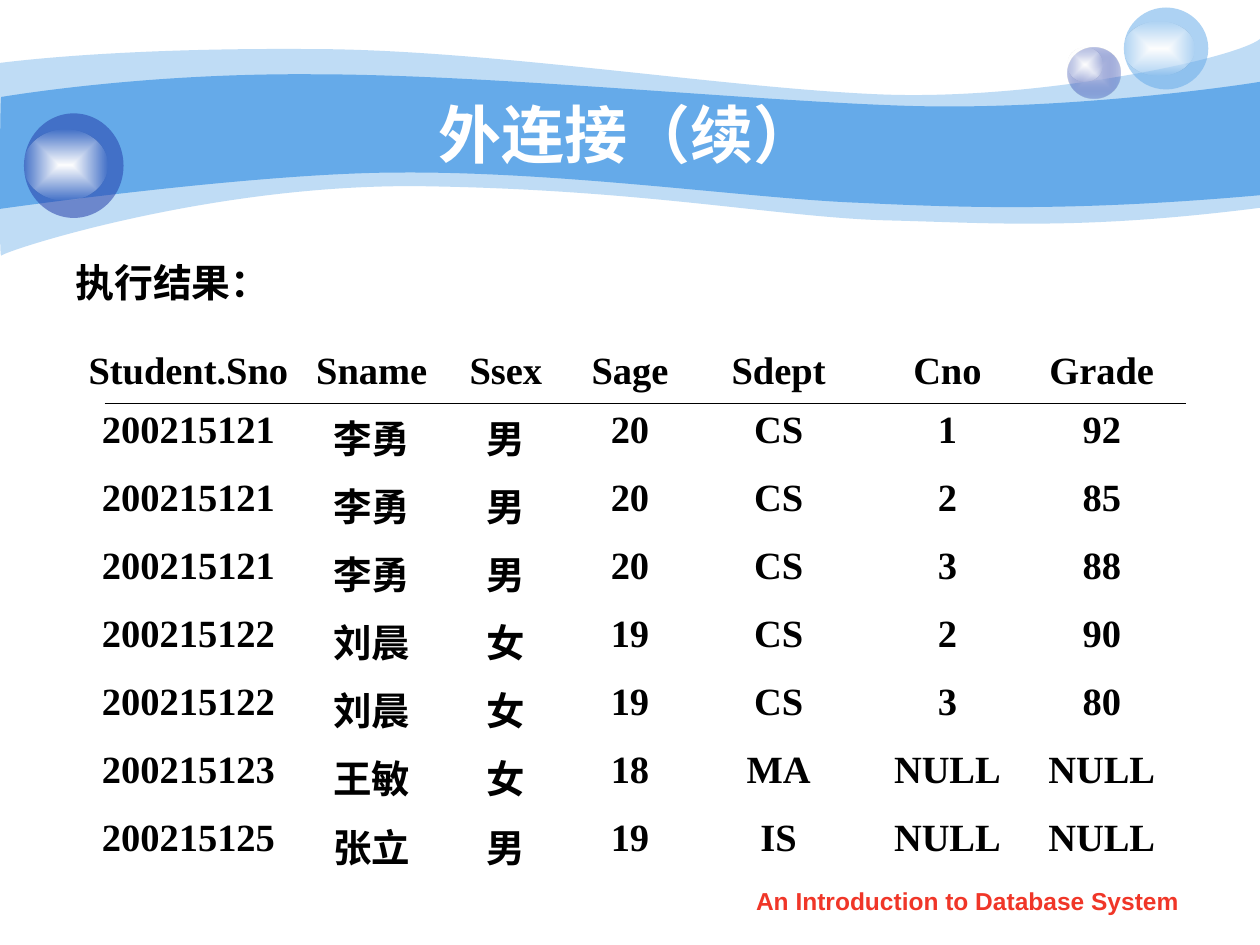
from pptx import Presentation
from pptx.dml.color import RGBColor
from pptx.enum.shapes import MSO_CONNECTOR, MSO_SHAPE
from pptx.enum.text import MSO_ANCHOR, PP_ALIGN
from pptx.oxml import parse_xml
from pptx.oxml.ns import nsdecls, qn
from pptx.oxml.xmlchemy import OxmlElement
from pptx.util import Inches, Pt

OVAL = MSO_SHAPE.OVAL
STRAIGHT = MSO_CONNECTOR.STRAIGHT
MIDDLE = MSO_ANCHOR.MIDDLE
CENTER, JUSTIFY = PP_ALIGN.CENTER, PP_ALIGN.JUSTIFY

SKY, NAVY = "65AAE9", "233DA9"
GLOSS = [("FFFFFF", 100), ("FFFFFF", 0)]
NO_TABLE_STYLE = "{2D5ABB26-0587-4C30-8999-92F81FD0307C}"


def paint(shape, colors):
    """Fill with one (hex, opacity %) pair, or fade from the first at the centre to the second."""
    shape.shadow.inherit = False
    shape.line.fill.background()
    tags = [f'<a:srgbClr val="{value}"><a:alpha val="{opacity * 1000}"/></a:srgbClr>'
            for value, opacity in colors]
    if len(tags) == 1:
        fill = f'<a:solidFill {nsdecls("a")}>{tags[0]}</a:solidFill>'
    else:
        fill = (f'<a:gradFill {nsdecls("a")} rotWithShape="1"><a:gsLst>'
                f'<a:gs pos="0">{tags[0]}</a:gs><a:gs pos="100000">{tags[1]}</a:gs></a:gsLst>'
                '<a:path path="rect"><a:fillToRect l="50000" t="50000" r="50000" b="50000"/>'
                '</a:path></a:gradFill>')
    shape.fill.solid()
    properties = shape.element.spPr
    properties.replace(properties.find(qn("a:solidFill")), parse_xml(fill))


def write(frame, text, size, color, font="Arial", align=CENTER):
    frame.text = text
    paragraph = frame.paragraphs[0]
    paragraph.alignment = align
    paragraph.font.name = font
    paragraph.font.size = Pt(size)
    paragraph.font.bold = True
    paragraph.font.color.rgb = RGBColor.from_string(color)


prs = Presentation()
prs.slide_width, prs.slide_height = Inches(10), Inches(7.5)
slide = prs.slides.add_slide(prs.slide_layouts[5])
shapes = slide.shapes

# Banner waves in hundredths of an inch: start point, then end points or cubic Bézier triples
pale_wave = [
    (0, 50),
    [(24, 47), (107, 38), (247, 39)],
    [(386, 39), (575, 70), (699, 75)],
    [(822, 80), (980, 47), (1000, 31)],
    [(1000, 165)],
    [(858, 183), (787, 177), (705, 175)],
    [(622, 173), (515, 151), (343, 148)],
    [(172, 144), (4, 199), (1, 203)],
    [(-1, 208), (0, 75), (0, 50)],
]
bright_wave = [
    (1, 77),
    [(2, 77), (110, 58), (248, 59)],
    [(386, 59), (595, 80), (718, 84)],
    [(841, 88), (976, 69), (1000, 65)],
    [(1000, 155)],
    [(853, 168), (765, 165), (682, 161)],
    [(599, 158), (447, 136), (317, 137)],
    [(203, 137), (-2, 166), (-1, 166)],
    [(0, 166), (0, 77), (1, 77)],
]
for (start, *segments), opacity in [(pale_wave, 41), (bright_wave, 100)]:
    builder = shapes.build_freeform(*start, scale=Inches(0.01))
    builder.add_line_segments([point for segment in segments for point in segment])
    wave = builder.convert_to_shape()
    outline = wave.element.find(".//" + qn("a:path"))
    lines = iter(outline.findall(qn("a:lnTo")))
    for segment in segments:
        steps = [next(lines) for _ in segment]
        if len(steps) == 3:
            curve = OxmlElement("a:cubicBezTo")
            steps[0].addprevious(curve)
            for step in steps:
                curve.append(step[0])
                outline.remove(step)
    outline.append(OxmlElement("a:close"))
    paint(wave, [(SKY, opacity)])

# Bubbles, each a ball with a gloss on it
bubbles = [
    ((8.47, 0.38, 0.42, 0.4), [("C7CEE9", 100), (NAVY, 31)], (8.47, 0.38, 0.28, 0.27)),
    ((8.92, 0.06, 0.67, 0.65), [(SKY, 53)], (8.92, 0.17, 0.56, 0.43)),
    ((0.19, 0.9, 0.79, 0.83), [(NAVY, 53)], (0.19, 1.03, 0.66, 0.56)),
]
for ball_box, ball_colors, gloss_box in bubbles:
    bubble = shapes.add_group_shape()
    for box, colors in [(ball_box, ball_colors), (gloss_box, GLOSS)]:
        paint(bubble.shapes.add_shape(OVAL, *map(Inches, box)), colors)

footer = shapes.add_textbox(Inches(5.71), Inches(6.98), Inches(3.94), Inches(0.35))
footer.text_frame.word_wrap = True
write(footer.text_frame, "An Introduction to Database System", 14, "F03628")

title = shapes.title
title.left, title.top, title.width, title.height = map(Inches, (1, 0.75, 8.08, 0.62))
title.text_frame.vertical_anchor = MIDDLE
write(title.text_frame, "外连接（续） ", 36, "FFFFFF")
title.element.getparent().append(title.element)  # in front of the banner

caption = shapes.add_textbox(Inches(0.5), Inches(2), Inches(4.42), Inches(0.49))
caption.text_frame.word_wrap = True
write(caption.text_frame, "执行结果： ", 22.2, "000000", align=JUSTIFY)

# Result of the outer join
records = [
    ("Student.Sno", "Sname", "Ssex", "Sage", "Sdept", "Cno", "Grade"),
    ("200215121", "李勇", "男", "20", "CS", "1", "92"),
    ("200215121", "李勇", "男", "20", "CS", "2", "85"),
    ("200215121", "李勇", "男", "20", "CS", "3", "88"),
    ("200215122", "刘晨", "女", "19", "CS", "2", "90"),
    ("200215122", "刘晨", "女", "19", "CS", "3", "80"),
    ("200215123", "王敏", "女", "18", "MA", "NULL", "NULL"),
    ("200215125", "张立", "男", "19", "IS", "NULL", "NULL"),
]
column_widths = [1.81, 1.1, 1.03, 0.94, 1.42, 1.26, 1.19]
row_heights = [0.47] + [0.54] * (len(records) - 1)
result_frame = shapes.add_table(len(records), len(column_widths), Inches(0.59), Inches(2.73),
                                Inches(sum(column_widths)), Inches(sum(row_heights)))
result_frame.element.find(".//" + qn("a:tableStyleId")).text = NO_TABLE_STYLE
result = result_frame.table
result.first_row = result.horz_banding = False
for column, width in zip(result.columns, column_widths):
    column.width = Inches(width)
for row, height, record in zip(result.rows, row_heights, records):
    row.height = Inches(height)
    for cell, value in zip(row.cells, record):
        cell.fill.background()
        write(cell.text_frame, value, 22, "000000", font="Times New Roman")

header_rule = shapes.add_connector(STRAIGHT, Inches(0.83), Inches(3.2), Inches(9.41), Inches(3.2))
header_rule.line.color.rgb = RGBColor.from_string("000000")
header_rule.line.width = Pt(0.75)
header_rule.element.spPr.append(OxmlElement("a:effectLst"))

prs.save("out.pptx")
